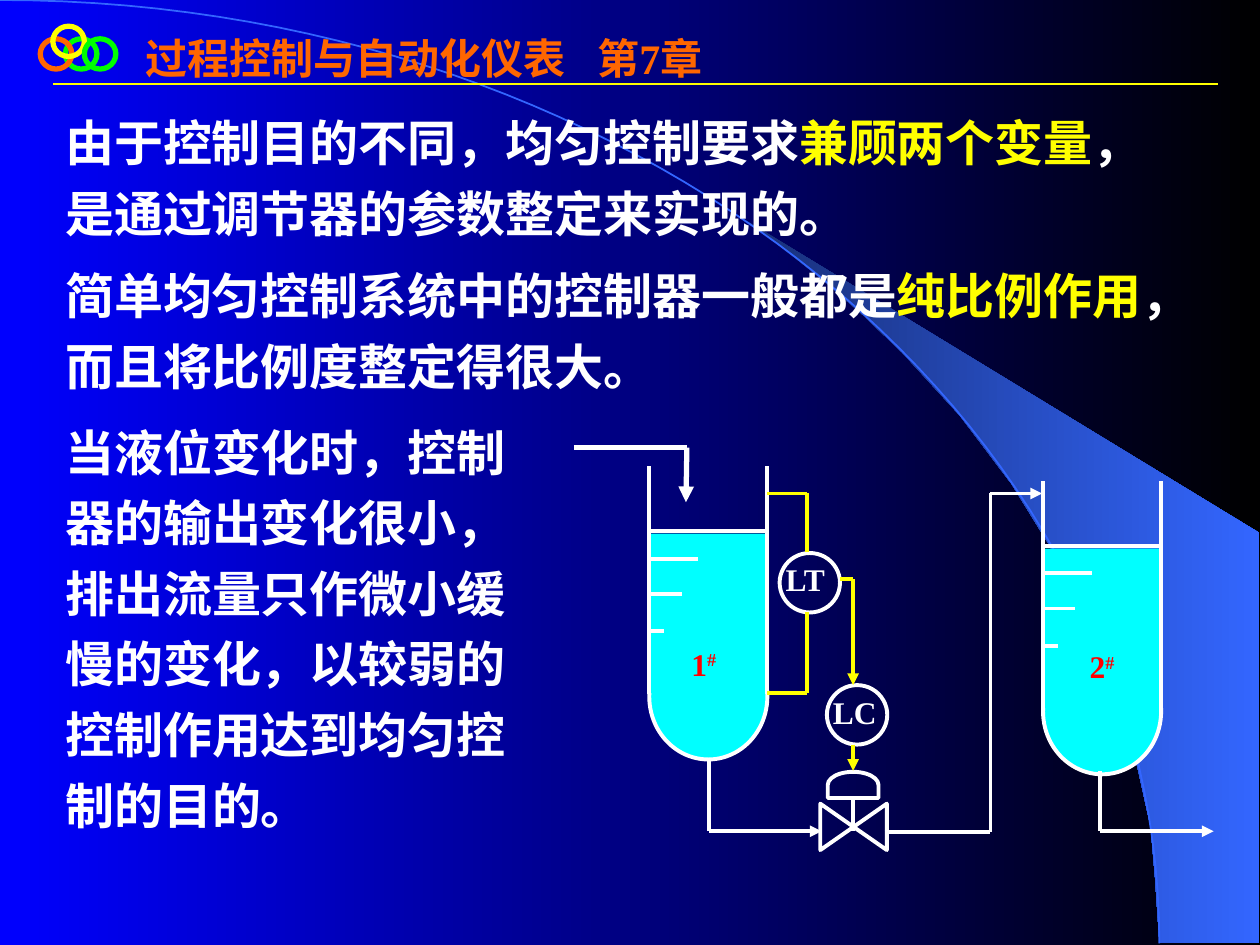
from itertools import pairwise

from lxml.etree import SubElement
from pptx import Presentation
from pptx.dml.color import RGBColor
from pptx.enum.shapes import MSO_CONNECTOR as CONN, MSO_SHAPE as SHAPE
from pptx.oxml.ns import qn
from pptx.util import Pt

WHITE, YELLOW, ORANGE, RED = "FFFFFF", "FFFF00", "FF6600", "FF0000"
GREEN, CYAN, BLUE = "00FF00", "00FFFF", "3366FF"
FONT = "Times New Roman"


def rgb(value):
    """Turn a hex string into a colour."""
    return RGBColor.from_string(value)


def gradient(fill, start, end):
    """Fill from left to right with two colours."""
    fill.gradient()
    fill.gradient_angle = 0
    for stop, value in zip(fill.gradient_stops, (start, end)):
        stop.color.rgb = rgb(value)


def style(s, fill=None, line=None, width=2.25):
    """Set the fill and outline of a shape and drop its shadow."""
    s.shadow.inherit = False
    if fill:
        s.fill.solid()
        s.fill.fore_color.rgb = rgb(fill)
    else:
        s.fill.background()
    if line:
        s.line.color.rgb = rgb(line)
        s.line.width = Pt(width)
    else:
        s.line.fill.background()


def shape(slide, kind, x, y, w, h, rotation=0, **look):
    """Add a preset shape."""
    s = slide.shapes.add_shape(kind, Pt(x), Pt(y), Pt(w), Pt(h))
    s.rotation = rotation
    style(s, **look)


def outline(slide, points, close):
    """Add a freeform through the given points."""
    pts = [(Pt(x), Pt(y)) for x, y in points]
    builder = slide.shapes.build_freeform(*pts[0], scale=1.0)
    builder.add_line_segments(pts[1:], close=close)
    return builder.convert_to_shape()


def text(slide, x, y, w, h, paragraphs, size=18, color=WHITE, spacing=None, before=0, tab=None):
    """Add a text box; each paragraph is a list of (text, format) runs."""
    tf = slide.shapes.add_textbox(Pt(x), Pt(y), Pt(w), Pt(h)).text_frame
    tf.word_wrap = True
    for i, runs in enumerate(paragraphs):
        p = tf.add_paragraph() if i else tf.paragraphs[0]
        if tab:
            tabs = SubElement(p._p.get_or_add_pPr(), qn("a:tabLst"))
            SubElement(tabs, qn("a:tab"), pos=str(Pt(tab)), algn="l")
        if spacing:
            p.line_spacing = spacing
        if i:
            p.space_before = Pt(before)
        for words, look in runs:
            r = p.add_run()
            r.text = words
            r.font.name, r.font.size, r.font.bold = FONT, Pt(size), True
            r.font.color.rgb = rgb(look.get("color", color))
            if "baseline" in look:
                r._r.get_or_add_rPr().set("baseline", look["baseline"])


def pipe(slide, x, y, points, color=WHITE, width=2.25, arrow=False):
    """Join points with straight lines, with an arrowhead at the end if asked."""
    for (x1, y1), (x2, y2) in pairwise(points):
        s = slide.shapes.add_connector(CONN.STRAIGHT, Pt(x + x1), Pt(y + y1), Pt(x + x2), Pt(y + y2))
        s.line.color.rgb = rgb(color)
        s.line.width = Pt(width)
        props = s._element.spPr
        if arrow and (x2, y2) == points[-1]:
            SubElement(props.find(qn("a:ln")), qn("a:tailEnd"), type="triangle")
        SubElement(props, qn("a:effectLst"))


def backdrop(slide, w, h):
    """Draw the gradient, the bright wedge and the large arc."""
    gradient(slide.background.fill, "0000FF", "000000")
    wedge = [(662.5, 538.5), (719.5, 539), (719.5, 304.5), (424, 124.5), (449.5, 143.5),
             (470, 160), (493, 180), (515.5, 201.5), (548.5, 237.5), (578, 276.5),
             (599, 310.5), (618, 345), (632, 380), (643, 412), (650, 438.5),
             (657.5, 472.5), (660, 501)]
    s = outline(slide, wedge, True)
    style(s)
    gradient(s.fill, "182F76", BLUE)
    steps = [i / 60 for i in range(61)]
    arc = [(3 * t * (1 - t) ** 2 * w * 0.552 + (3 * t * t * (1 - t) + t ** 3) * w,
            3 * t * t * (1 - t) * h * 0.448 + t ** 3 * h) for t in steps]
    style(outline(slide, arc, False), line=BLUE, width=1)


def header(slide, x, y):
    """Draw the rings, the course title and the rule below."""
    for dx, dy, color in ((14.4, 7.2, GREEN), (0, 7.2, ORANGE), (7.2, 0, YELLOW), (25.2, 7.2, GREEN)):
        shape(slide, SHAPE.OVAL, x + dx, y + dy, 18, 17.3, line=color, width=3)
    text(slide, x + 53.3, y, 606, 36, [[("过程控制与自动化仪表\t第7章", {})]],
         size=24, color=ORANGE, tab=258)
    pipe(slide, x, y, [(7.2, 33), (673.2, 33)], YELLOW, 1.5)


def tank(slide, x, y, number, label_x, label_y):
    """Draw a vessel with its liquid, level marks and number."""
    w = 67.5
    shape(slide, SHAPE.OVAL, x, y + 95.5, w, 72, fill=CYAN, line=WHITE)
    shape(slide, SHAPE.RECTANGLE, x - 1, y + 38.5, w + 0.5, 91, fill=CYAN)
    for wall in (0, w):
        pipe(slide, x, y, [(wall, 0), (wall, 130)])
    for depth, length in ((36.9, w), (52.7, 28), (72.7, 18.5), (94.2, 8.5)):
        pipe(slide, x, y, [(0.7, depth), (length, depth)])
    text(slide, x + label_x, y + label_y, 49, 45,
         [[(number, {}), ("#", {"baseline": "30000"})]], color=RED, spacing=1.2)


def instrument(slide, x, y, name):
    """Draw a round instrument with its letters."""
    shape(slide, SHAPE.OVAL, x, y, 34.5, 34, line=WHITE)
    text(slide, x - 3.6, y - 3.6, 49, 29, [[(name, {})]], spacing=1.2)


def control_loop(slide, x, y):
    """Draw both tanks, the instruments, the valve and the pipes."""
    tank(slide, x + 43, y + 11.5, "1", 17, 94)
    tank(slide, x + 268, y + 20, "2", 19.5, 87)
    instrument(slide, x + 117.5, y + 61, "LT")
    instrument(slide, x + 144.5, y + 136.5, "LC")
    shape(slide, SHAPE.FLOWCHART_COLLATE, x + 146.5, y + 198.5, 26.5, 38, 270, line=WHITE)
    shape(slide, SHAPE.FLOWCHART_DELAY, x + 152, y + 179, 15, 29, 270, line=WHITE)
    pipe(slide, x, y, [(159.5, 201.5), (159.5, 220)])
    pipe(slide, x, y, [(0, 0.8), (64.5, 0.8), (64, 32)], width=3, arrow=True)
    for route in ([(77, 178.5), (77, 220), (141.5, 220)],
                  [(177.5, 220.5), (238, 220.5), (238, 27), (267.5, 27)],
                  [(300.5, 185.5), (300.5, 220), (365.5, 220)]):
        pipe(slide, x, y, route, arrow=True)
    for route in ([(110.5, 27), (133, 27), (133, 60.5)], [(133, 95), (133, 141), (110.5, 141)]):
        pipe(slide, x, y, route, YELLOW)
    for route in ([(152, 76), (159.5, 76), (159.5, 136.5)], [(159.5, 170.5), (159.5, 185.5)]):
        pipe(slide, x, y, route, YELLOW, arrow=True)


def explanation(slide, x, y):
    """Write the two full-width paragraphs and the narrow one beside the loop."""
    accent = {"color": YELLOW}
    wide = [[("由于控制目的不同，均匀控制要求", {}), ("兼顾两个变量", accent),
             ("，是通过调节器的参数整定来实现的。", {})],
            [("简单均匀控制系统中的控制器一般都是", {}), ("纯比例作用", accent),
             ("，而且将比例度整定得很大。", {})]]
    narrow = [[("当液位变化时，控制器的输出变化很小，排出流量只作微小缓慢的变化，"
                "以较弱的控制作用达到均匀控制的目的。", {})]]
    text(slide, x, y, 656, 175.5, wide, size=28, spacing=1.2, before=7)
    text(slide, x, y + 177, 283.5, 249, narrow, size=28, spacing=1.2)


def main():
    """Build the slide and save it."""
    prs = Presentation()
    prs.slide_width, prs.slide_height = Pt(720), Pt(540)
    slide = prs.slides.add_slide(prs.slide_layouts[6])
    backdrop(slide, 662.5, 539)
    header(slide, 23, 15)
    explanation(slide, 30.2, 54)
    control_loop(slide, 328, 255)
    prs.save("out.pptx")


if __name__ == "__main__":
    main()
